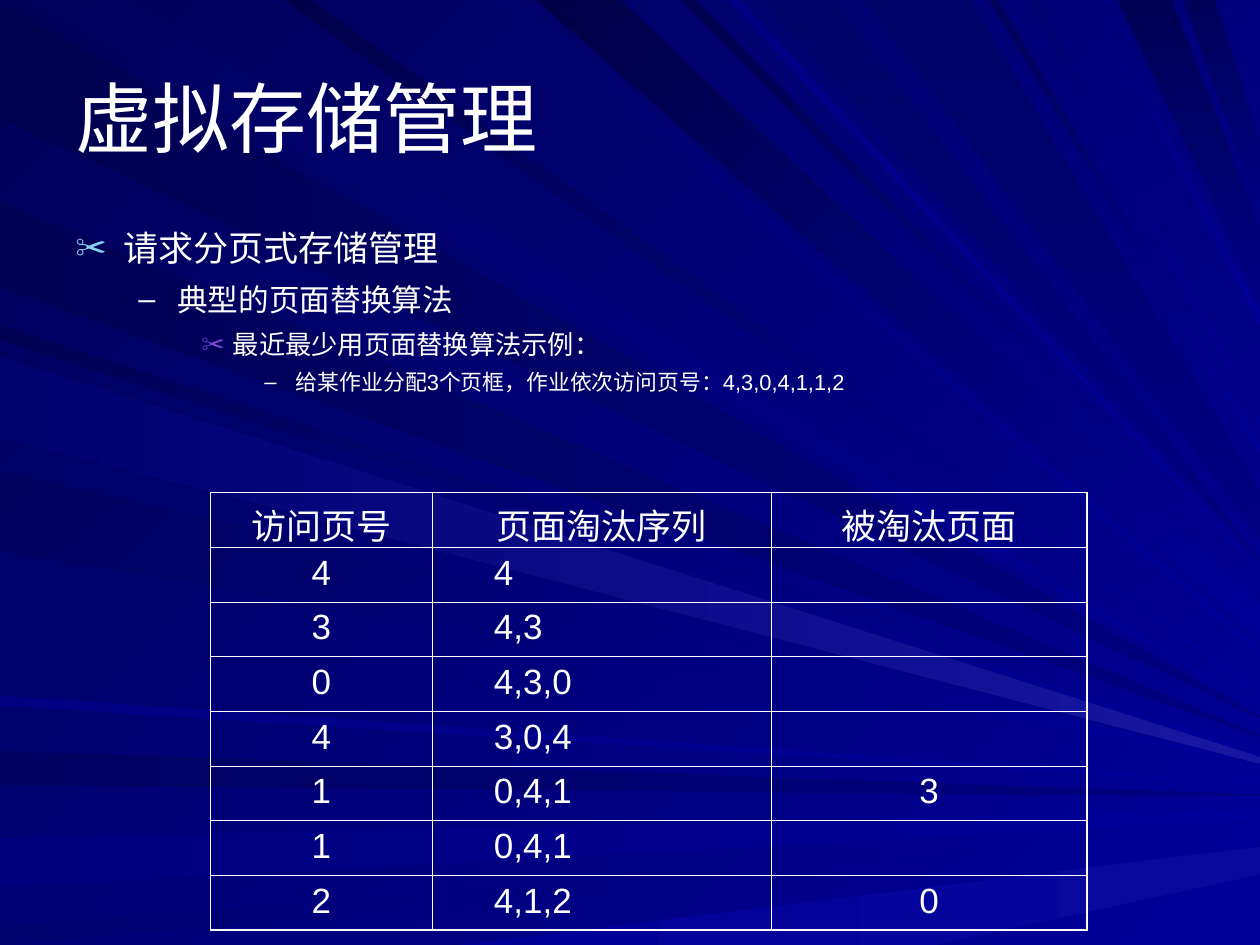
from enum import Enum
from typing import NamedTuple

from lxml.etree import SubElement as Sub
from pptx import Presentation
from pptx.dml.color import RGBColor
from pptx.enum.text import MSO_ANCHOR as Anchor, PP_ALIGN as Align
from pptx.oxml.ns import qn
from pptx.util import Pt

PX = 9144  # EMU per px, 100 px to the inch
WIDE, HIGH = 1000, 750
WHITE, NAVY, BLUE = "FFFFFF", "000080", "000099"
FONT = "Arial"
SLANT, DOWN = 45, 90  # clockwise gradient angles


class Edge(Enum):
    LEFT = "left"
    TOP = "top"
    BASE = "base"


class Ray(NamedTuple):
    edge: Edge
    near: tuple[int, int]  # span on the starting edge
    far: tuple[int, int]  # span on the right edge
    start: str
    end: str = BLUE
    angle: int = 0


class Item(NamedTuple):
    text: str
    left: int
    hang: int
    mark: str
    tint: str


RAYS = [
    Ray(Edge.LEFT, (2, 93), (569, 570), "000051", NAVY),
    Ray(Edge.TOP, (101, 26), (562, 563), "00005D", BLUE, SLANT),
    Ray(Edge.LEFT, (596, 623), (631, 632), "000061", NAVY),
    Ray(Edge.LEFT, (665, 704), (643, 651), "00007D"),
    Ray(Edge.LEFT, (735, 750), (662, 663), "00006F"),
    Ray(Edge.BASE, (364, 742), (672, 694), BLUE, "08089C"),
    Ray(Edge.LEFT, (258, 270), (588, 589), "000053", BLUE, SLANT),
    Ray(Edge.LEFT, (159, 228), (584, 585), "000055", NAVY),
    Ray(Edge.TOP, (398, 416), (521, 515), "00006B", BLUE, SLANT),
    Ray(Edge.TOP, (426, 492), (507, 479), "000047", BLUE, SLANT),
    Ray(Edge.TOP, (540, 552), (463, 462), "00004F", BLUE, SLANT),
    Ray(Edge.TOP, (606, 661), (446, 445), "000065", NAVY, DOWN),
    Ray(Edge.TOP, (887, 930), (237, 183), "000055", NAVY, DOWN),
    Ray(Edge.TOP, (939, 964), (167, 114), "000059", NAVY, DOWN),
    Ray(Edge.LEFT, (278, 342), (596, 602), "000061", BLUE, SLANT),
    Ray(Edge.LEFT, (374, 437), (605, 606), "00005D", BLUE, SLANT),
    Ray(Edge.LEFT, (552, 560), (621, 623), "000082"),
    Ray(Edge.TOP, (225, 247), (552, 547), "00004A", BLUE, SLANT),
    Ray(Edge.TOP, (577, 588), (454, 453), "000082", BLUE, SLANT),
    Ray(Edge.TOP, (686, 770), (428, 390), "000065", NAVY, DOWN),
    Ray(Edge.TOP, (785, 792), (360, 354), "000058", BLUE, SLANT),
    Ray(Edge.TOP, (815, 824), (336, 335), "00006F", BLUE, SLANT),
    Ray(Edge.TOP, (865, 872), (258, 249), "000079", BLUE, SLANT),
    Ray(Edge.LEFT, (283, 347), (601, 606), "00006F", "1717A2"),
]

ITEMS = [
    Item("请求分页式存储管理", 38, 38, "✂", "86D1EC"),
    Item("典型的页面替换算法", 81, 31, "–", WHITE),
    Item("最近最少用页面替换算法示例：", 125, 25, "✂", "7B46D0"),
    Item("给某作业分配3个页框，作业依次访问页号：4,3,0,4,1,1,2", 175, 25, "–", WHITE),
]

ROWS = [
    ("访问页号", "页面淘汰序列", "被淘汰页面"),
    ("4", "4", ""),
    ("3", "4,3", ""),
    ("0", "4,3,0", ""),
    ("4", "3,0,4", ""),
    ("1", "0,4,1", "3"),
    ("1", "0,4,1", ""),
    ("2", "4,1,2", "0"),
]
COLS = [176, 269, 251]
HEIGHT = 347


def rgb(code: str) -> RGBColor:
    return RGBColor.from_string(code)


def paint(fill, start: str, end: str, angle: int) -> None:
    fill.gradient()
    fill.gradient_angle = (360 - angle) % 360
    for stop, code in zip(fill.gradient_stops, (start, end)):
        stop.color.rgb = rgb(code)


def spot(edge: Edge, at: int) -> tuple[int, int]:
    if edge is Edge.LEFT:
        return 0, at
    return at, HIGH if edge is Edge.BASE else 0


def draw_ray(slide, ray: Ray) -> None:
    first, second = (spot(ray.edge, at) for at in ray.near)
    tip, tail = ((WIDE, at) for at in ray.far)
    pen = slide.shapes.build_freeform(*first, scale=PX)
    pen.add_line_segments([second, tail, tip], close=True)
    shape = pen.convert_to_shape()
    shape.shadow.inherit = False
    shape.line.fill.background()
    paint(shape.fill, ray.start, ray.end, ray.angle)


def style(para, size: float) -> None:
    for run in para.runs:
        run.font.name = FONT
        run.font.size = Pt(size)
        run.font.color.rgb = rgb(WHITE)


def add_box(slide, x: int, y: int, w: int, h: int):
    frame = slide.shapes.add_textbox(x * PX, y * PX, w * PX, h * PX).text_frame
    frame.word_wrap = True
    return frame


def draw_item(para, item: Item, level: int) -> None:
    para.text = item.text
    props = para._p.get_or_add_pPr()
    props.set("marL", str(item.left * PX))
    props.set("indent", str(-item.hang * PX))
    Sub(Sub(props, qn("a:buClr")), qn("a:srgbClr"), val=item.tint)
    Sub(props, qn("a:buSzPct"), val="100000" if level % 2 else "90000")
    Sub(props, qn("a:buFont"), typeface=FONT)
    Sub(props, qn("a:buChar"), char=item.mark)
    if level:
        para.space_before = Pt(8 - level)
    style(para, 20 - 2.5 * level)


def add_edge(cell, side: str, width: float) -> None:
    props = cell._tc.get_or_add_tcPr()
    line = Sub(props, qn(f"a:ln{side}"), w=str(Pt(width)))
    Sub(Sub(line, qn("a:solidFill")), qn("a:srgbClr"), val=WHITE)


def draw_table(slide, x: int, y: int) -> None:
    last, end = len(ROWS) - 1, len(COLS) - 1
    table = slide.shapes.add_table(
        len(ROWS), len(COLS), x * PX, y * PX, sum(COLS) * PX, HEIGHT * PX).table
    table.first_row = table.horz_banding = False
    for col, width in zip(table.columns, COLS):
        col.width = width * PX
    for r, texts in enumerate(ROWS):
        table.rows[r].height = HEIGHT * PX // len(ROWS)
        for c, text in enumerate(texts):
            cell = table.cell(r, c)
            outer = {"L": c == 0, "R": c == end, "T": r == 0, "B": r == last}
            for side, thick in outer.items():
                add_edge(cell, side, 1.08 if thick else 0.45)
            cell.fill.background()
            para = cell.text_frame.paragraphs[0]
            para.text = text
            if r and c == 1:
                cell.margin_left = 49 * PX
            else:
                para.alignment = Align.CENTER
            style(para, 20)


def main() -> None:
    deck = Presentation()
    deck.slide_width, deck.slide_height = WIDE * PX, HIGH * PX
    slide = deck.slides.add_slide(deck.slide_layouts[6])

    # Backdrop
    paint(slide.background.fill, "000058", BLUE, SLANT)
    for ray in RAYS:
        draw_ray(slide, ray)

    # Title
    title = add_box(slide, 50, 30, 900, 125)
    title.vertical_anchor = Anchor.MIDDLE
    title.text = "虚拟存储管理"
    style(title.paragraphs[0], 44)

    # Outline
    body = add_box(slide, 50, 175, 900, 145)
    for level, item in enumerate(ITEMS):
        para = body.add_paragraph() if level else body.paragraphs[0]
        draw_item(para, item, level)

    # Page table
    draw_table(slide, 167, 391)

    deck.save("out.pptx")


if __name__ == "__main__":
    main()
